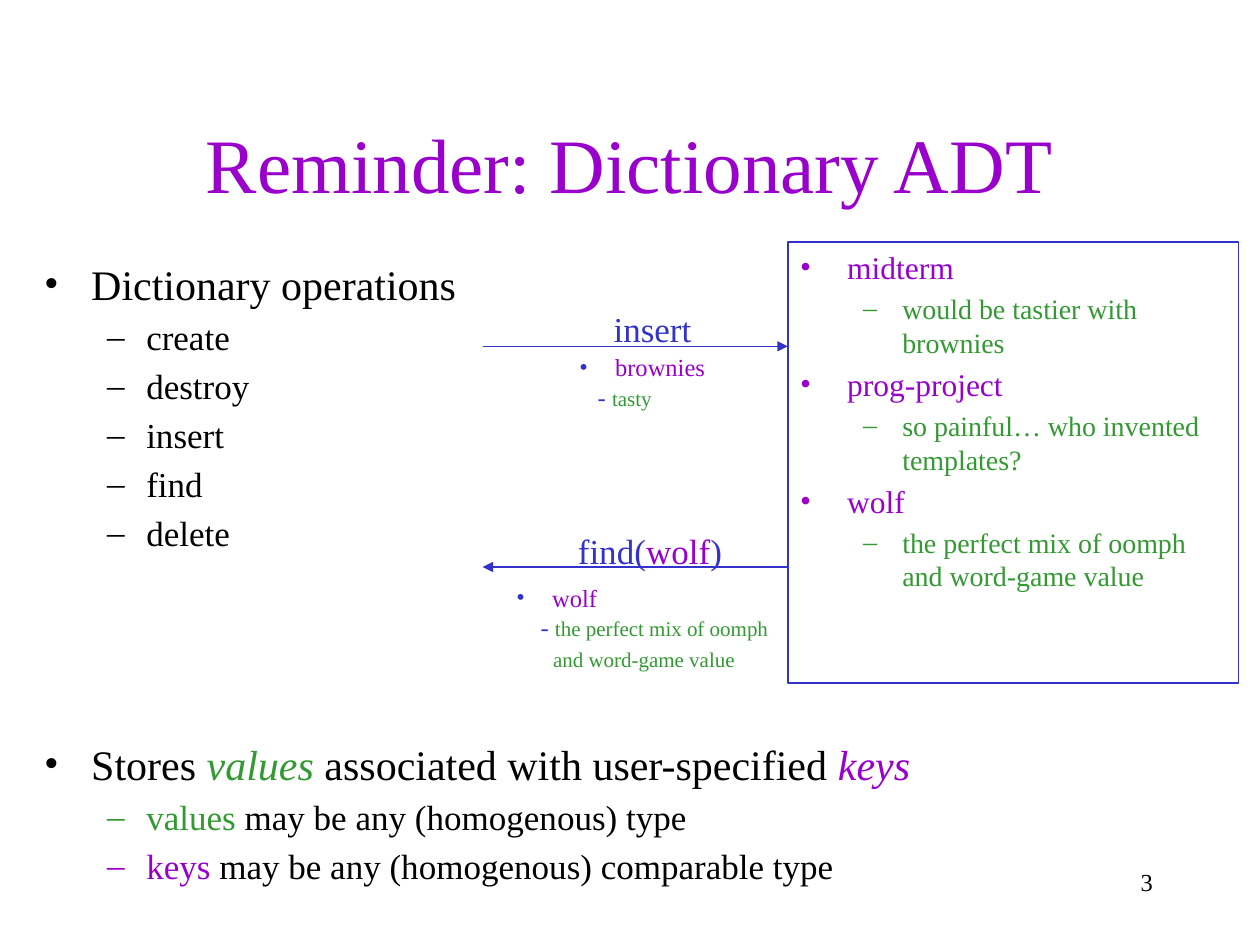
from dataclasses import dataclass

from lxml import etree
from pptx import Presentation
from pptx.dml.color import RGBColor
from pptx.enum.shapes import MSO_CONNECTOR, MSO_SHAPE
from pptx.enum.text import MSO_ANCHOR, PP_ALIGN
from pptx.oxml.ns import qn
from pptx.util import Cm, Pt


@dataclass(frozen=True)
class Theme:
    font: str = "Times New Roman"
    ink: str = "000000"
    key: str = "9900CC"
    value: str = "339933"
    accent: str = "3333CC"
    title: int = 44
    topic: int = 24
    item: int = 20
    entry: int = 18
    detail: int = 16
    note: int = 14
    small: int = 12


T = Theme()

# Levels: size, left margin and hanging indent in cm, bullet, space before in points
LEVELS = {
    "title": (T.title, 0, 0, None, 0),
    "topic": (T.topic, 0.95, -0.95, "•", 0.2 * T.topic),
    "item": (T.item, 2.06, -0.79, "–", 0.2 * T.item),
    "entry": (T.entry, 0.95, -0.95, "•", 0.2 * T.entry),
    "detail": (T.detail, 2.06, -0.79, "–", 0.2 * T.detail),
    "label": (T.item, 0, 0, None, 0),
    "pair": (T.note, 0.72, -0.72, "•", 0),
    "tasty": (T.note, 0.37, 0, None, 0),
    "meaning": (T.note, 0.49, 0, None, 0),
    "meaning_end": (T.small, 0.74, 0, None, 2.5),
    "number": (T.note, 0, 0, None, 0),
}

# Paragraphs: level, runs of (text, colour, other format), then own space before
OPERATIONS = ["create", "destroy", "insert", "find", "delete"]
ITALIC = {"italic": True}
SMALL = {"size": T.small}
BODY = [
    ("topic", [("Dictionary operations", T.ink, {})]),
    *[("item", [(name, T.ink, {})]) for name in OPERATIONS],
    ("topic", [("Stores ", T.ink, {}), ("values", T.value, ITALIC),
               (" associated with user-specified ", T.ink, {}),
               ("keys", T.key, ITALIC)], 105.6),
    ("item", [("values", T.value, {}),
              (" may be any (homogenous) type", T.ink, {})]),
    ("item", [("keys", T.key, {}),
              (" may be any (homogenous) comparable type", T.ink, {})]),
]
ENTRIES = [
    ("midterm", "would be tastier with brownies"),
    ("prog-project", "so painful… who invented templates?"),
    ("wolf", "the perfect mix of oomph and word-game value"),
]
STORE = [
    para
    for key, value in ENTRIES
    for para in (("entry", [(key, T.key, {})]), ("detail", [(value, T.value, {})]))
]
INSERTED = [
    ("pair", [("brownies", T.key, {})]),
    ("tasty", [("- ", T.accent, {}), ("tasty", T.value, SMALL)]),
]
FOUND = [
    ("pair", [("wolf", T.key, {})]),
    ("meaning", [("- ", T.accent, {}), ("the perfect mix of oomph", T.value, SMALL)]),
    ("meaning_end", [("and word-game value", T.value, {})]),
]
FIND_CALL = [("find(", T.accent, {}), ("wolf", T.key, {}), (")", T.accent, {})]

# Left, top, width, height in cm; paragraphs; text options
STORE_BOX = (15.88, 4.88, 9.09, 8.89)
TEXTS = [
    ((1.9, 1.7, 21.59, 3.18), [("title", [("Reminder: Dictionary ADT", T.key, {})])],
     {"align": PP_ALIGN.CENTER, "anchor": MSO_ANCHOR.MIDDLE}),
    ((0.64, 5.08, 19.25, 11.43), BODY, {}),
    ((12.12, 6.07, 2.08, 1.09), [("label", [("insert", T.accent, {})])], {"wrap": False}),
    ((11.4, 10.54, 3.56, 1.09), [("label", FIND_CALL)], {"wrap": False}),
    ((11.43, 6.98, 3.38, 1.45), INSERTED, {}),
    ((10.16, 11.63, 5.77, 2.06), FOUND, {}),
    ((18.21, 17.35, 5.28, 1.27), [("number", [("3", T.ink, {})])],
     {"align": PP_ALIGN.RIGHT}),
]
CLIENT_X, STORE_X = 9.73, STORE_BOX[0]
ARROWS = [(CLIENT_X, STORE_X, 6.98), (STORE_X, CLIENT_X, 11.43)]  # from x, to x, y


def rgb(color):
    return RGBColor.from_string(color)


def add_bullet(p, char, color, margin, indent):
    pPr = p._p.get_or_add_pPr()
    pPr.set("marL", str(Cm(margin)))
    pPr.set("indent", str(Cm(indent)))
    if char:
        clr = etree.SubElement(pPr, qn("a:buClr"))
        etree.SubElement(clr, qn("a:srgbClr"), val=color)
        etree.SubElement(pPr, qn("a:buFont"), typeface=T.font)
        etree.SubElement(pPr, qn("a:buChar"), char=char)
    else:
        etree.SubElement(pPr, qn("a:buNone"))


def add_run(p, text, *, size, color, italic=False):
    r = p.add_run()
    r.text = text
    r.font.name = T.font
    r.font.size = Pt(size)
    r.font.italic = italic
    r.font.color.rgb = rgb(color)


def write(sp, paras, *, align=PP_ALIGN.LEFT, anchor=MSO_ANCHOR.TOP, wrap=True):
    tf = sp.text_frame
    tf.word_wrap = wrap
    tf.vertical_anchor = anchor
    for i, (level, runs, *gap) in enumerate(paras):
        p = tf.add_paragraph() if i else tf.paragraphs[0]
        size, margin, indent, char, before = LEVELS[level]
        bullet_color = T.accent if level == "pair" else runs[0][1]
        add_bullet(p, char, bullet_color, margin, indent)
        p.alignment = align
        if i:
            p.space_before = Pt(gap[0] if gap else before)
        for text, color, fmt in runs:
            add_run(p, text, **{"size": size, "color": color, **fmt})


def add_store(s):
    sp = s.shapes.add_shape(MSO_SHAPE.RECTANGLE, *map(Cm, STORE_BOX))
    sp.shadow.inherit = False
    sp.fill.background()
    sp.line.color.rgb = rgb(T.accent)
    sp.line.width = Pt(1)
    write(sp, STORE)


def add_arrow(s, x1, x2, y):
    line = s.shapes.add_connector(MSO_CONNECTOR.STRAIGHT, Cm(x1), Cm(y), Cm(x2), Cm(y))
    line.line.color.rgb = rgb(T.accent)
    line.line.width = Pt(0.75)
    etree.SubElement(line.line._get_or_add_ln(), qn("a:tailEnd"), type="triangle")
    etree.SubElement(line._element.spPr, qn("a:effectLst"))


def main():
    prs = Presentation()
    prs.slide_width, prs.slide_height = Cm(25.4), Cm(19.05)
    s = prs.slides.add_slide(prs.slide_layouts[6])
    add_store(s)
    for arrow in ARROWS:
        add_arrow(s, *arrow)
    for box, paras, options in TEXTS:
        write(s.shapes.add_textbox(*map(Cm, box)), paras, **options)
    prs.save("out.pptx")


if __name__ == "__main__":
    main()
